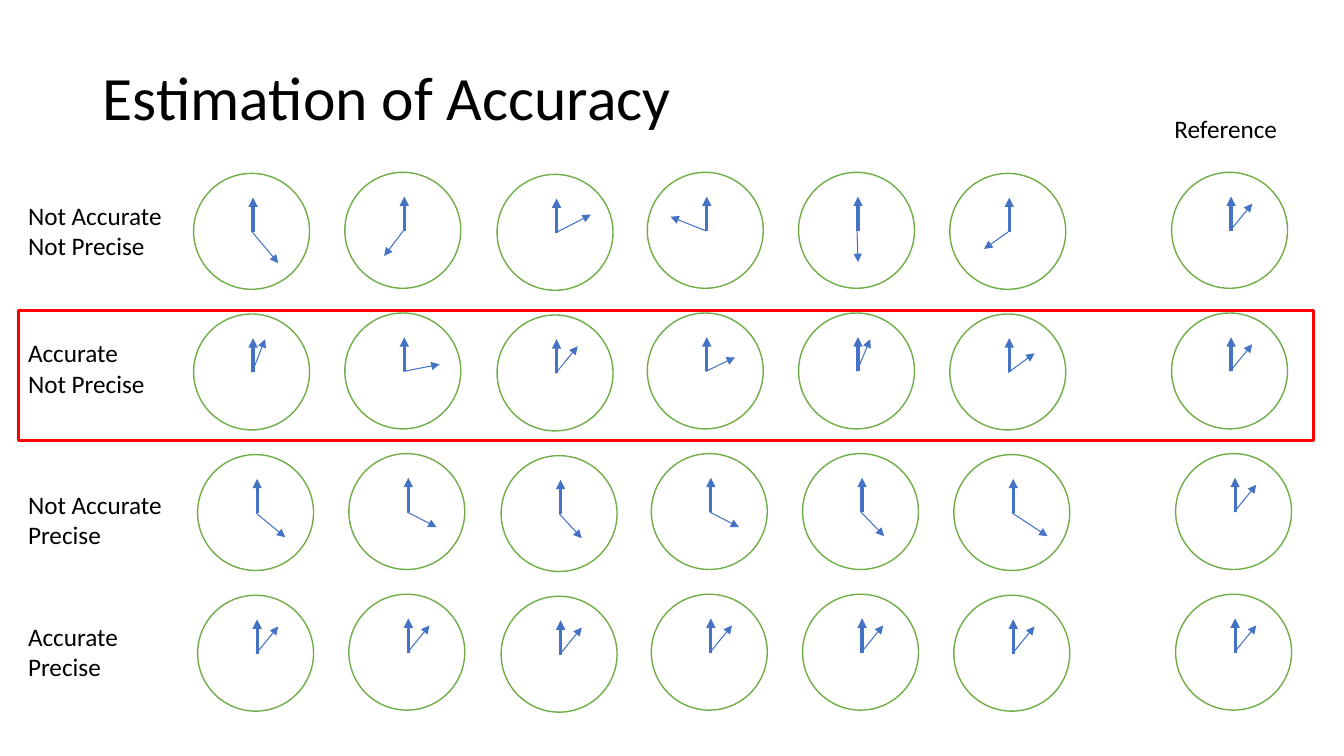
"""Build a slide of clock faces that compares accuracy with precision."""
from lxml import etree
from pptx import Presentation
from pptx.dml.color import RGBColor
from pptx.enum.shapes import MSO_CONNECTOR as CONN, MSO_SHAPE as SHAPE
from pptx.enum.text import MSO_ANCHOR as ANCHOR, MSO_AUTO_SIZE as AUTO, PP_ALIGN as ALIGN
from pptx.oxml.ns import qn
from pptx.util import Inches, Pt

BLACK = RGBColor(0x00, 0x00, 0x00)
WHITE = RGBColor(0xFF, 0xFF, 0xFF)
GREEN = RGBColor(0x70, 0xAD, 0x47)
BLUE = RGBColor(0x44, 0x72, 0xC4)
RED = RGBColor(0xFF, 0x00, 0x00)

DIAMETER = 1.15
COLUMNS = [(1.92, 0.01), (3.42, 0), (4.93, 0.02), (6.42, 0),
           (7.92, 0), (9.42, 0.01), (11.62, 0)]
ONE_OCLOCK = (0.22, -0.27)
ROWS = [
    ("Not Accurate\nNot Precise", 1.94, 0,
     [(0.26, 0.31), (-0.19, 0.25), (0.35, -0.18), (-0.35, -0.14),
      (0.01, 0.31), (-0.24, 0.17), ONE_OCLOCK]),
    ("Accurate\nNot Precise", 3.3, 0,
     [(0.13, -0.33), (0.36, -0.07), ONE_OCLOCK, (0.29, -0.14),
      (0.13, -0.32), (0.26, -0.19), ONE_OCLOCK]),
    ("Not Accurate\nPrecise", 4.8, 0.04,
     [(0.29, 0.24), (0.29, 0.15), (0.22, 0.24), (0.29, 0.15),
      (0.23, 0.24), (0.35, 0.23), ONE_OCLOCK]),
    ("Accurate\nPrecise", 6.11, 0.04, [ONE_OCLOCK] * 7),
]

prs = Presentation()
prs.slide_width, prs.slide_height = Inches(13.33), Inches(7.5)
s = prs.slides.add_slide(prs.slide_layouts[5])


def add_hand(x, y, dx, dy, width):
    hand = s.shapes.add_connector(CONN.STRAIGHT, Inches(x), Inches(y),
                                  Inches(x + dx), Inches(y + dy))
    hand.line.color.rgb = BLUE
    hand.line.width = Pt(width)
    etree.SubElement(hand.line._get_or_add_ln(), qn("a:tailEnd"), type="triangle")
    etree.SubElement(hand._element.spPr, qn("a:effectLst"))


def add_label(text, x, y, w, h):
    tf = s.shapes.add_textbox(Inches(x), Inches(y), Inches(w), Inches(h)).text_frame
    tf.word_wrap = True
    tf.text = text
    for p in tf.paragraphs:
        p.font.size = Pt(18)
        p.font.name = "Calibri"
        p.font.color.rgb = BLACK


title = s.shapes.title
title.left, title.top = Inches(0.92), Inches(0.27)
title.width, title.height = Inches(11.5), Inches(1.45)
tf = title.text_frame
tf.text = "Estimation of Accuracy"
tf.auto_size = AUTO.NONE
tf.vertical_anchor = ANCHOR.MIDDLE
p = tf.paragraphs[0]
p.alignment = ALIGN.LEFT
p.line_spacing = 0.9
r = p.runs[0]
r.font.size = Pt(44)
r.font.name = "Calibri"
r.font.color.rgb = BLACK

for i, (label, label_top, shift, hours) in enumerate(ROWS):
    add_label(label, 0.18, label_top, 1.63, 0.71)
    for (left, drop), (dx, dy) in zip(COLUMNS, hours):
        x, y = left + shift, 1.71 + 1.395 * i + drop
        face = s.shapes.add_shape(SHAPE.OVAL, Inches(x), Inches(y),
                                  Inches(DIAMETER), Inches(DIAMETER))
        face.shadow.inherit = False
        face.fill.solid()
        face.fill.fore_color.rgb = WHITE
        face.line.color.rgb = GREEN
        face.line.width = Pt(1)
        add_hand(x + 0.58, y + 0.58, dx, dy, 0.75)
        add_hand(x + 0.59, y + 0.58, 0, -0.34, 2.25)

add_label("Reference", 11.55, 1.08, 1.39, 0.4)

frame = s.shapes.add_shape(SHAPE.RECTANGLE, Inches(0.18), Inches(3.08),
                           Inches(12.85), Inches(1.29))
frame.shadow.inherit = False
frame.fill.background()
frame.line.color.rgb = RED
frame.line.width = Pt(2.25)

prs.save("out.pptx")
